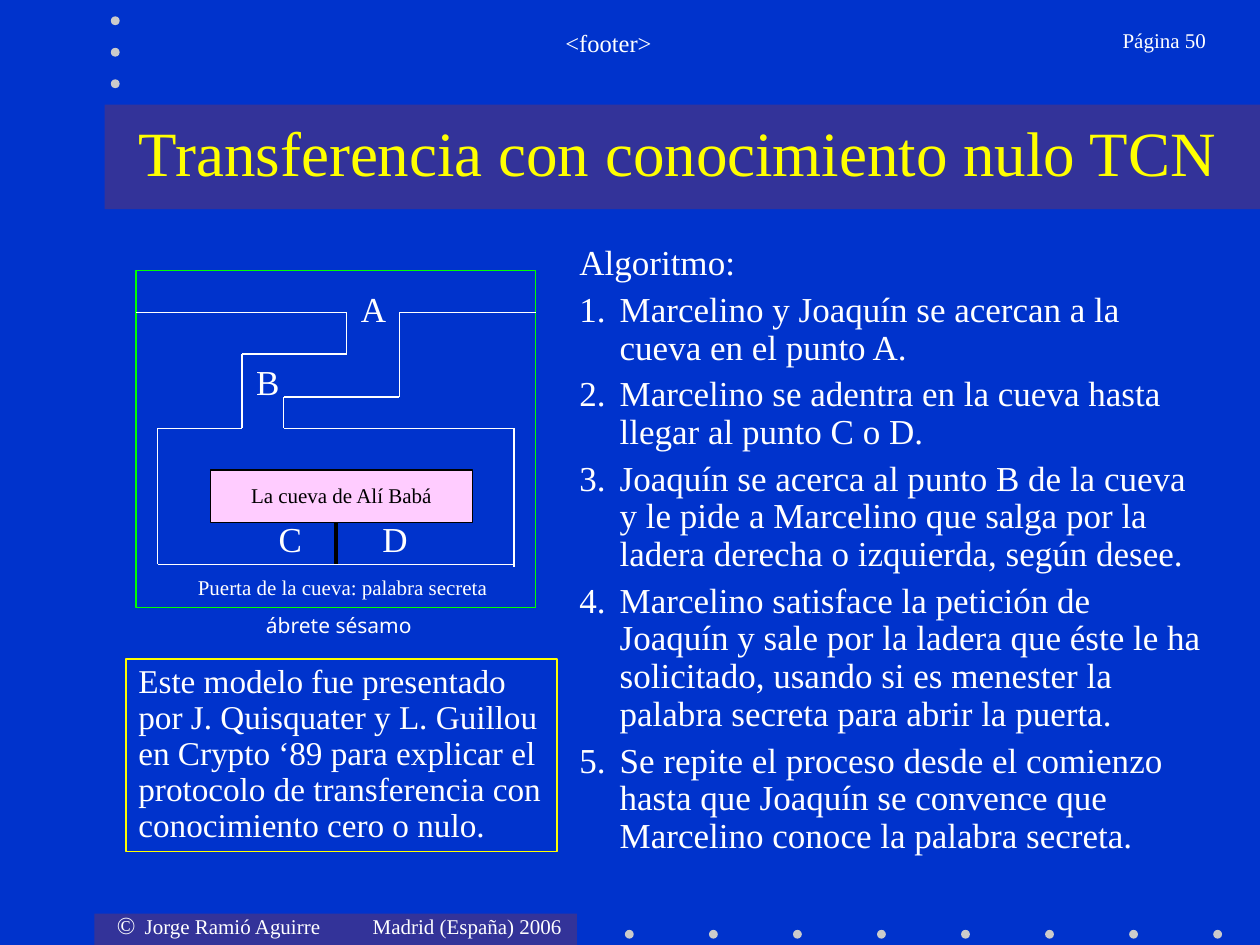
from lxml import etree
from pptx import Presentation
from pptx.dml.color import RGBColor
from pptx.enum.shapes import MSO_CONNECTOR, MSO_SHAPE
from pptx.enum.text import MSO_ANCHOR, MSO_AUTO_SIZE, PP_ALIGN
from pptx.oxml.ns import qn
from pptx.util import Inches, Pt

RECTANGLE, OVAL = MSO_SHAPE.RECTANGLE, MSO_SHAPE.OVAL
STRAIGHT = MSO_CONNECTOR.STRAIGHT
LEFT, CENTER, RIGHT = PP_ALIGN.LEFT, PP_ALIGN.CENTER, PP_ALIGN.RIGHT
TOP, MIDDLE = MSO_ANCHOR.TOP, MSO_ANCHOR.MIDDLE
NO_FIT = MSO_AUTO_SIZE.NONE
SERIF, SANS = "Times New Roman", "Noto Sans"
BLUE, BAND, DOT = "0033CC", "333399", "CBCBCB"
WHITE, BLACK, YELLOW, GREEN, PINK = "FFFFFF", "000000", "FFFF00", "00FF00", "FFCCFF"

STEPS = [
    "Marcelino y Joaquín se acercan a la cueva en el punto A.",
    "Marcelino se adentra en la cueva hasta llegar al punto C o D.",
    "Joaquín se acerca al punto B de la cueva y le pide a Marcelino que salga "
    "por la ladera derecha o izquierda, según desee.",
    "Marcelino satisface la petición de Joaquín y sale por la ladera que éste le "
    "ha solicitado, usando si es menester la palabra secreta para abrir la puerta.",
    "Se repite el proceso desde el comienzo hasta que Joaquín se convence que "
    "Marcelino conoce la palabra secreta.",
]
ORIGIN = ("Este modelo fue presentado por J. Quisquater y L. Guillou en Crypto ‘89 "
          "para explicar el protocolo de transferencia con conocimiento cero o nulo.")


def color(value):
    return RGBColor.from_string(value)


def inches(box):
    return [Inches(length) for length in box]


def add_preset(page, kind, box, fill=None, line=None):
    shape = page.shapes.add_shape(kind, *inches(box))
    shape.shadow.inherit = False
    if fill:
        shape.fill.solid()
        shape.fill.fore_color.rgb = color(fill)
    else:
        shape.fill.background()
    if line:
        shape.line.color.rgb = color(line)
        shape.line.width = Pt(0.75)
    else:
        shape.line.fill.background()
    return shape


def add_line(page, start, end, line=WHITE, width=0.75):
    connector = page.shapes.add_connector(STRAIGHT, *inches(start + end))
    connector.line.color.rgb = color(line)
    connector.line.width = Pt(width)
    etree.SubElement(connector._element.spPr, qn("a:effectLst"))


def add_path(page, points):
    for start, end in zip(points, points[1:]):
        add_line(page, start, end)


def add_span(para, text, size, ink=WHITE, font=SERIF):
    span = para.add_run()
    span.text = text
    span.font.size = Pt(size)
    span.font.name = font
    span.font.color.rgb = color(ink)


def prepare_frame(shape, wrap=True, anchor=TOP):
    frame = shape.text_frame
    frame.word_wrap = wrap
    frame.auto_size = NO_FIT
    frame.vertical_anchor = anchor
    return frame


def add_label(page, box, text, size, align=CENTER, ink=WHITE, font=SERIF, wrap=False):
    frame = prepare_frame(page.shapes.add_textbox(*inches(box)), wrap)
    para = frame.paragraphs[0]
    para.alignment = align
    add_span(para, text, size, ink, font)
    return para


def add_dots(page, left, top, count, step_x=0, step_y=0):
    for index in range(count):
        box = (left + index * step_x, top + index * step_y, 0.07, 0.07)
        add_preset(page, OVAL, box, DOT)


def add_header(page, box):
    left, top, width, height = box
    add_preset(page, RECTANGLE, box, BAND)
    add_dots(page, left + 0.05, 0.13, 3, step_y=0.25)
    add_label(page, (1.58, 0.17, 6.5, 0.5), "<footer>", 14, wrap=True)
    add_label(page, (8.3, 0.17, 1.37, 0.5), "Página 50", 12, RIGHT, wrap=True)
    title = page.shapes.title
    title.left, title.top, title.width, title.height = inches((left + 0.09, top, 8.92, 0.75))
    para = prepare_frame(title, anchor=MIDDLE).paragraphs[0]
    para.alignment = CENTER
    add_span(para, "Transferencia con conocimiento nulo TCN", 36, YELLOW)


def add_footer(page, box):
    left, top, width, height = box
    add_preset(page, RECTANGLE, box, BAND)
    add_dots(page, left + width + 0.38, top + 0.13, 8, step_x=0.667)
    para = add_label(page, (left + 0.08, top - 0.08, width, 0.34), "©", 14, LEFT)
    add_span(para, "\tJorge Ramió Aguirre\tMadrid (España) 2006", 12)
    tabs = etree.SubElement(para._p.get_or_add_pPr(), qn("a:tabLst"))
    for position in (0.22, 2.03):
        etree.SubElement(tabs, qn("a:tab"), pos=str(Inches(position)), algn="l")


def add_cave(page, box):
    left, top, width, height = box
    right = left + width
    mouth, ledge, shelf, hall, floor = (top + drop for drop in (0.33, 0.66, 1, 1.25, 2.33))
    add_preset(page, RECTANGLE, box, line=GREEN)
    add_path(page, [(left, mouth), (2.75, mouth), (2.75, ledge), (1.92, ledge),
                    (1.92, hall), (1.25, hall), (1.25, floor), (4.08, floor)])
    add_path(page, [(right, mouth), (3.17, mouth), (3.17, shelf), (2.25, shelf),
                    (2.25, hall), (4.08, hall), (4.08, floor + 0.02)])
    add_preset(page, RECTANGLE, (1.67, 3.73, 2.08, 0.42), PINK, BLACK)
    name = add_label(page, (1.89, 3.81, 1.64, 0.27), "La cueva de Alí Babá", 12, ink=BLACK)
    name.line_spacing = 0.85
    add_line(page, (2.67, 4.15), (2.67, floor), BLACK, 2.25)
    points = {"A": (2.77, 2.23), "B": (1.93, 2.81), "C": (2.11, 4.06), "D": (2.94, 4.06)}
    for letter, place in points.items():
        add_label(page, place + (0.39, 0.44), letter, 20)
    add_label(page, (1.47, 4.51, 2.5, 0.3), "Puerta de la cueva: palabra secreta", 12)
    add_label(page, (2.01, 4.81, 1.36, 0.3), "ábrete sésamo", 12, font=SANS)


def add_algorithm(page, box):
    frame = prepare_frame(page.shapes.add_textbox(*inches(box)))
    for index, text in enumerate(["Algoritmo:"] + STEPS):
        para = frame.add_paragraph() if index else frame.paragraphs[0]
        para.line_spacing = 0.9
        para.space_before = Pt(5)
        add_span(para, text, 20)
        if index:
            props = para._p.get_or_add_pPr()
            props.set("marL", str(Inches(0.32)))
            props.set("indent", str(-Inches(0.32)))
            ink = etree.SubElement(props, qn("a:buClr"))
            etree.SubElement(ink, qn("a:srgbClr"), val=WHITE)
            etree.SubElement(props, qn("a:buFont"), typeface=SERIF)
            etree.SubElement(props, qn("a:buAutoNum"), type="arabicPeriod")


def add_origin_note(page, box):
    frame = prepare_frame(add_preset(page, RECTANGLE, box, line=YELLOW))
    para = frame.paragraphs[0]
    para.alignment = LEFT
    para.line_spacing = 0.9
    add_span(para, ORIGIN, 19)


def main():
    deck = Presentation()
    deck.slide_width, deck.slide_height = Inches(10), Inches(7.5)
    page = deck.slides.add_slide(deck.slide_layouts[5])
    page.background.fill.solid()
    page.background.fill.fore_color.rgb = color(BLUE)
    add_footer(page, (0.75, 7.25, 3.83, 0.25))
    add_header(page, (0.83, 0.83, 9.17, 0.83))
    title = page.shapes.title._element
    title.getparent().append(title)
    add_cave(page, (1.08, 2.15, 3.17, 2.67))
    add_algorithm(page, (4.5, 1.9, 5.17, 4.95))
    add_origin_note(page, (1, 5.23, 3.42, 1.53))
    deck.save("out.pptx")


if __name__ == "__main__":
    main()
